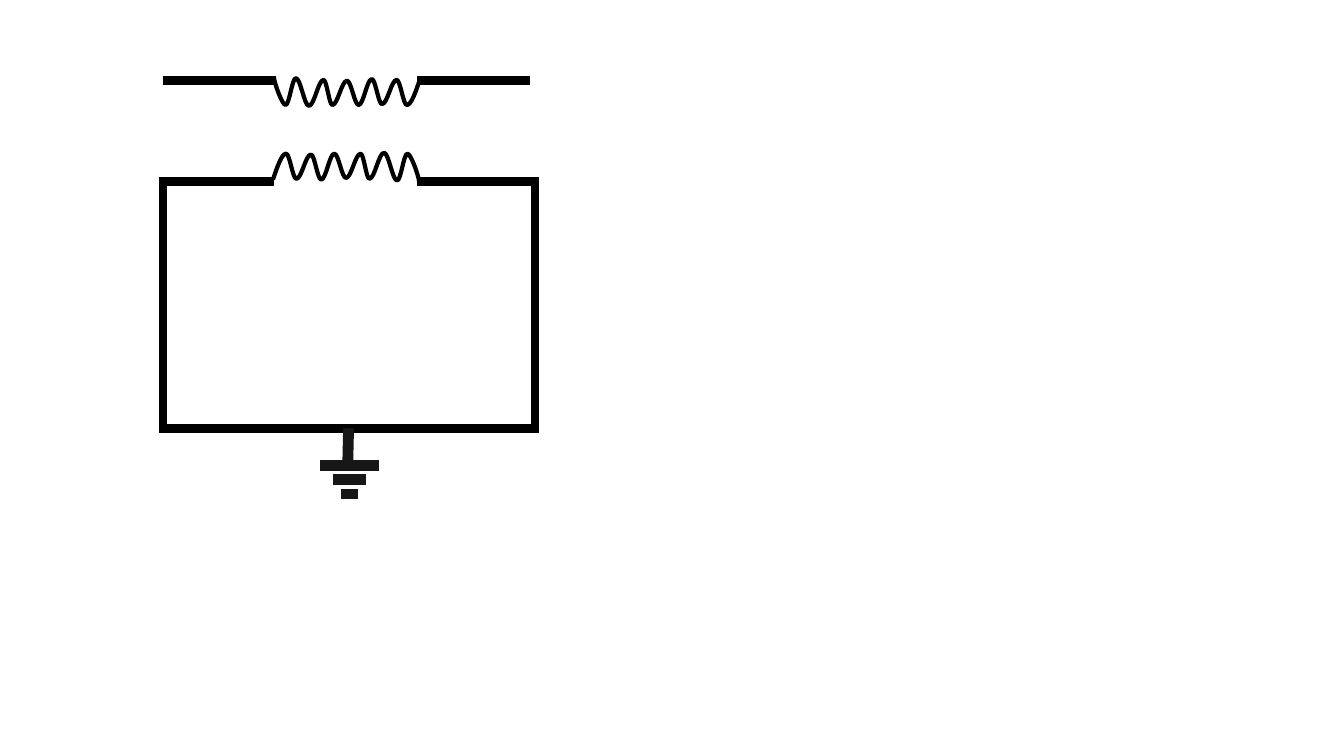
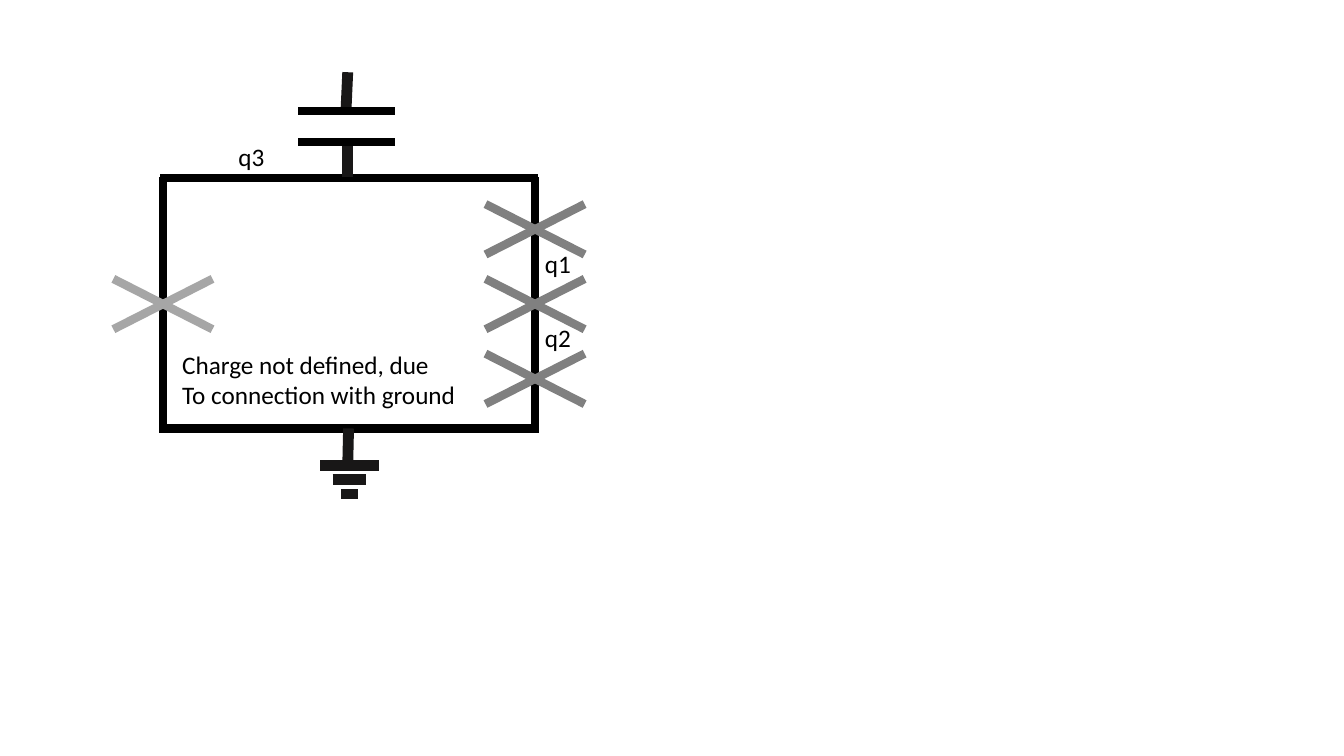
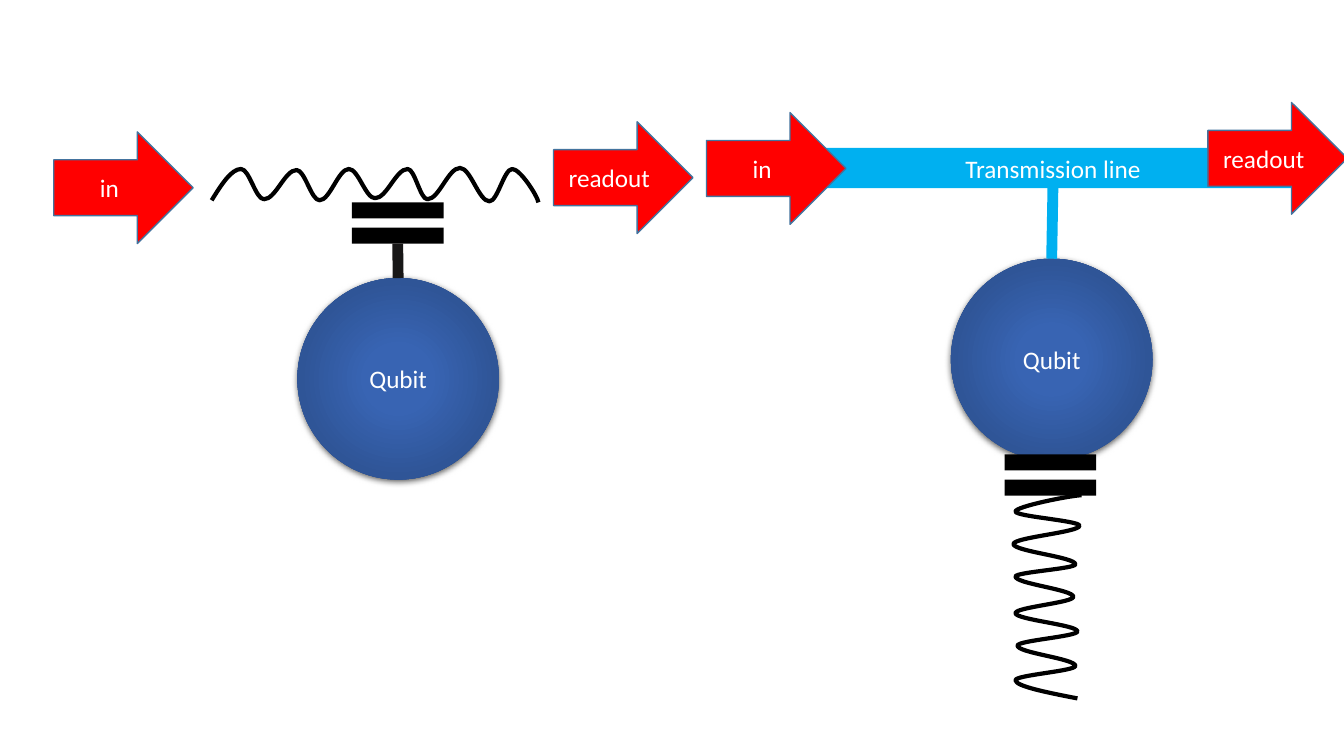
from dataclasses import dataclass

from lxml import etree
from pptx import Presentation, util as u
from pptx.dml.color import RGBColor
from pptx.enum import shapes, text
from pptx.oxml import parse_xml
from pptx.oxml.ns import nsdecls, qn


@dataclass(frozen=True)
class Theme:
    font: str = "Calibri"
    size: float = 18
    wire: str = "000000"
    lead: str = "181717"
    dark_junction: str = "808080"
    light_junction: str = "A6A6A6"
    signal: str = "FF0000"
    signal_edge: str = "43739E"
    feed: str = "00B0F0"
    light_text: str = "FFFFFF"
    wire_width: float = 6
    lead_width: float = 7.75
    wave_width: float = 3
    edge_width: float = 1
    qubit_stops: tuple = ((0, "3864B3"), (23, "3864B3"), (69, "2F5597"), (97, "2C4F8C"))


COLUMNS, ROWS = 160, 90

# Turning points of a coil, as shares of its frame
WAVE = ((0, .94), (.09, .03), (.16, .91), (.26, .06), (.33, .94), (.42, .03), (.5, .88),
        (.6, .03), (.66, .91), (.76, 0), (.85, .97), (.92, .03), (1, 1))
# Curve handles, as shares of the step between two turning points
FIRST_HANDLES = ((.33, .5), (.67, 1))
MIDDLE_HANDLES = ((.36, 0), (.64, 1))
LAST_HANDLES = ((.3, 0), (.96, .8))

# The circuit loop, in columns and rows
LEFT, RIGHT, TOP, BOTTOM = 19.4, 63.7, 21.2, 51
PLATE_WIDTH, PLATE_HEIGHT, PLATE_PITCH = 10.9, 1.9, 3


class Diagram:
    """Draws on the current slide; lengths are grid columns and rows."""

    def __init__(self, presentation, theme):
        self.presentation = presentation
        self.theme = theme
        self.column = presentation.slide_width / COLUMNS
        self.row = presentation.slide_height / ROWS
        self.slide = None

    def new_slide(self):
        self.slide = self.presentation.slides.add_slide(self.presentation.slide_layouts[6])

    def place(self, *lengths):
        """Turn alternating columns and rows into EMU."""
        return [round(length * (self.row if index % 2 else self.column))
                for index, length in enumerate(lengths)]

    def line(self, start, end, color=None, width=None):
        connector = self.slide.shapes.add_connector(
            shapes.MSO_CONNECTOR.STRAIGHT, *self.place(*start, *end))
        connector.line.color.rgb = RGBColor.from_string(color or self.theme.wire)
        connector.line.width = u.Pt(width or self.theme.wire_width)
        etree.SubElement(connector.element.spPr, qn("a:effectLst"))
        return connector

    def lead(self, start, end, color=None):
        return self.line(start, end, color or self.theme.lead, self.theme.lead_width)

    def joined_lead(self, lower, upper, color=None):
        """Lead from the top of one shape to the bottom of another."""
        connector = self.lead((0, 0), (1, 1), color)
        connector.begin_connect(lower, 0)
        connector.end_connect(upper, 2)

    def style_text(self, shape, words, color):
        frame = shape.text_frame
        frame.text = words
        for paragraph in frame.paragraphs:
            paragraph.font.name = self.theme.font
            paragraph.font.size = u.Pt(self.theme.size)
            paragraph.font.color.rgb = RGBColor.from_string(color)
        return frame

    def label(self, frame, words):
        box = self.slide.shapes.add_textbox(*self.place(*frame))
        text_frame = self.style_text(box, words, self.theme.wire)
        text_frame.word_wrap = False
        text_frame.auto_size = text.MSO_AUTO_SIZE.SHAPE_TO_FIT_TEXT

    def block(self, kind, frame, color, words="", edge=None):
        shape = self.slide.shapes.add_shape(kind, *self.place(*frame))
        shape.shadow.inherit = False
        shape.fill.solid()
        shape.fill.fore_color.rgb = RGBColor.from_string(color)
        if edge:
            shape.line.color.rgb = RGBColor.from_string(edge)
            shape.line.width = u.Pt(self.theme.edge_width)
        else:
            shape.line.fill.background()
        if words:
            text_frame = self.style_text(shape, words, self.theme.light_text)
            text_frame.vertical_anchor = text.MSO_ANCHOR.MIDDLE
            text_frame.paragraphs[0].alignment = text.PP_ALIGN.CENTER
        return shape

    def arrow(self, left, top, words):
        self.block(shapes.MSO_SHAPE.RIGHT_ARROW, (left, top, 16.6, 13.3),
                   self.theme.signal, words, self.theme.signal_edge)

    def qubit(self, left, top):
        """Circle with a radial gradient and a soft shadow."""
        shape = self.block(shapes.MSO_SHAPE.OVAL, (left, top, 24, 24),
                           self.theme.qubit_stops[0][1], "Qubit")
        properties = shape.element.spPr
        stops = "".join(f'<a:gs pos="{share * 1000}"><a:srgbClr val="{color}"/></a:gs>'
                        for share, color in self.theme.qubit_stops)
        properties.replace(properties.find(qn("a:solidFill")), parse_xml(
            f'<a:gradFill {nsdecls("a")} rotWithShape="1"><a:gsLst>{stops}</a:gsLst>'
            '<a:path path="circle"><a:fillToRect l="50000" t="50000" r="50000" b="50000"/>'
            '</a:path></a:gradFill>'))
        properties.find(qn("a:effectLst")).append(parse_xml(
            f'<a:outerShdw {nsdecls("a")} blurRad="{u.Pt(4.5)}" dist="{u.Pt(1.5)}" '
            'dir="5400000" algn="ctr" rotWithShape="0"><a:srgbClr val="000000">'
            '<a:alpha val="63000"/></a:srgbClr></a:outerShdw>'))
        return shape

    def plates(self, left, top):
        """Capacitor of two thick plates; returns the lower one."""
        for index in range(2):
            plate = self.block(
                shapes.MSO_SHAPE.RECTANGLE,
                (left, top + index * PLATE_PITCH, PLATE_WIDTH, PLATE_HEIGHT), self.theme.wire)
        return plate

    def wave(self, left, top, width, height, rotation=0):
        points = [tuple(self.place(left + x * width, top + y * height)) for x, y in WAVE]
        builder = self.slide.shapes.build_freeform(*points[0])
        builder.add_line_segments(points[1:], close=False)
        shape = builder.convert_to_shape()
        shape.shadow.inherit = False
        shape.fill.background()
        shape.line.color.rgb = RGBColor.from_string(self.theme.wire)
        shape.line.width = u.Pt(self.theme.wave_width)
        shape.rotation = rotation
        self.curve(shape)

    @staticmethod
    def curve(shape):
        """Turn the straight segments of an outline into Bézier curves."""
        segments = list(shape.element.spPr.iter(qn("a:lnTo")))
        points = [(int(point.get("x")), int(point.get("y")))
                  for point in shape.element.spPr.iter(qn("a:pt"))]
        handles = [FIRST_HANDLES, *[MIDDLE_HANDLES] * (len(segments) - 2), LAST_HANDLES]
        for segment, (x0, y0), (x1, y1), pair in zip(segments, points, points[1:], handles):
            curve = etree.Element(qn("a:cubicBezTo"))
            controls = [(x0 + a * (x1 - x0), y0 + b * (y1 - y0)) for a, b in pair]
            for x, y in (*controls, (x1, y1)):
                etree.SubElement(curve, qn("a:pt"), x=str(round(x)), y=str(round(y)))
            segment.getparent().replace(segment, curve)

    def junction(self, x, y, color):
        for rise in (3, -3):
            self.line((x - 5.9, y - rise), (x + 5.9, y + rise), color)

    def grounded_loop(self):
        """Sides and bottom of the loop, with the ground symbol."""
        for x in (LEFT, RIGHT):
            self.line((x, 21.1), (x, 51.5))
        self.line((19.3, BOTTOM), (64.1, BOTTOM))
        self.lead((41.4, 55.4), (41.5, BOTTOM))
        for index, half in enumerate((3.5, 2, 1)):
            y = 55.4 + index * 1.7
            self.lead((41.6 - half, y), (41.6 + half, y))


def inductive_coupling(diagram):
    diagram.new_slide()
    diagram.grounded_loop()
    for start, end, y in ((19.4, 32.9, 9.6), (49.7, 63.1, 9.6),
                          (19.2, 32.6, 21.6), (49.6, RIGHT, 21.6)):
        diagram.line((start, y), (end, y))
    diagram.wave(32.5, 18.2, 17.4, 3.4)
    diagram.wave(32.6, 9.2, 17.4, 3.4, rotation=180)


def flux_qubit(diagram):
    theme = diagram.theme
    diagram.new_slide()
    diagram.line((19.1, TOP), (64.1, TOP))
    diagram.grounded_loop()
    diagram.junction(LEFT, 36.2, theme.light_junction)
    for step in (-1, 0, 1):
        diagram.junction(RIGHT, 36.2 + step * 8.9, theme.dark_junction)
    diagram.lead((41.4, 21.1), (41.4, 16.7))
    diagram.lead((41.2, 13), (41.4, 8.6))
    for y in (13.2, 16.9):
        diagram.line((35.5, y), (47, y))
    for left, top, words in ((27.2, 16.2, "q3"), (RIGHT, 29, "q1"), (RIGHT, 37.8, "q2")):
        diagram.label((left, top, 5.5, 4.8), words)
    diagram.label((20.5, 41, 35.4, 8.5),
                  "Charge not defined, due\nTo connection with ground")


def readout_schemes(diagram):
    theme = diagram.theme
    diagram.new_slide()
    diagram.wave(25.2, 20, 38.9, 4.1)
    qubit = diagram.qubit(35.4, 33.1)
    diagram.joined_lead(qubit, diagram.plates(41.9, 24.1))
    diagram.arrow(65.9, 14.5, "readout")
    diagram.arrow(6.4, 15.7, "in")

    diagram.wave(112.6, 67, 24.2, 8.1, rotation=270)
    qubit = diagram.qubit(113.2, 30.8)
    feed = diagram.block(shapes.MSO_SHAPE.RECTANGLE, (95.6, 17.6, 59.5, 4.8),
                         theme.feed, "Transmission line")
    diagram.joined_lead(qubit, feed, theme.feed)
    diagram.arrow(143.8, 12.2, "readout")
    diagram.arrow(84.1, 13.4, "in")
    diagram.plates(119.6, 54.1)


def main():
    presentation = Presentation()
    presentation.slide_width = u.Inches(13.33)
    presentation.slide_height = u.Inches(7.5)
    diagram = Diagram(presentation, Theme())
    inductive_coupling(diagram)
    flux_qubit(diagram)
    readout_schemes(diagram)
    presentation.save("out.pptx")


if __name__ == "__main__":
    main()
